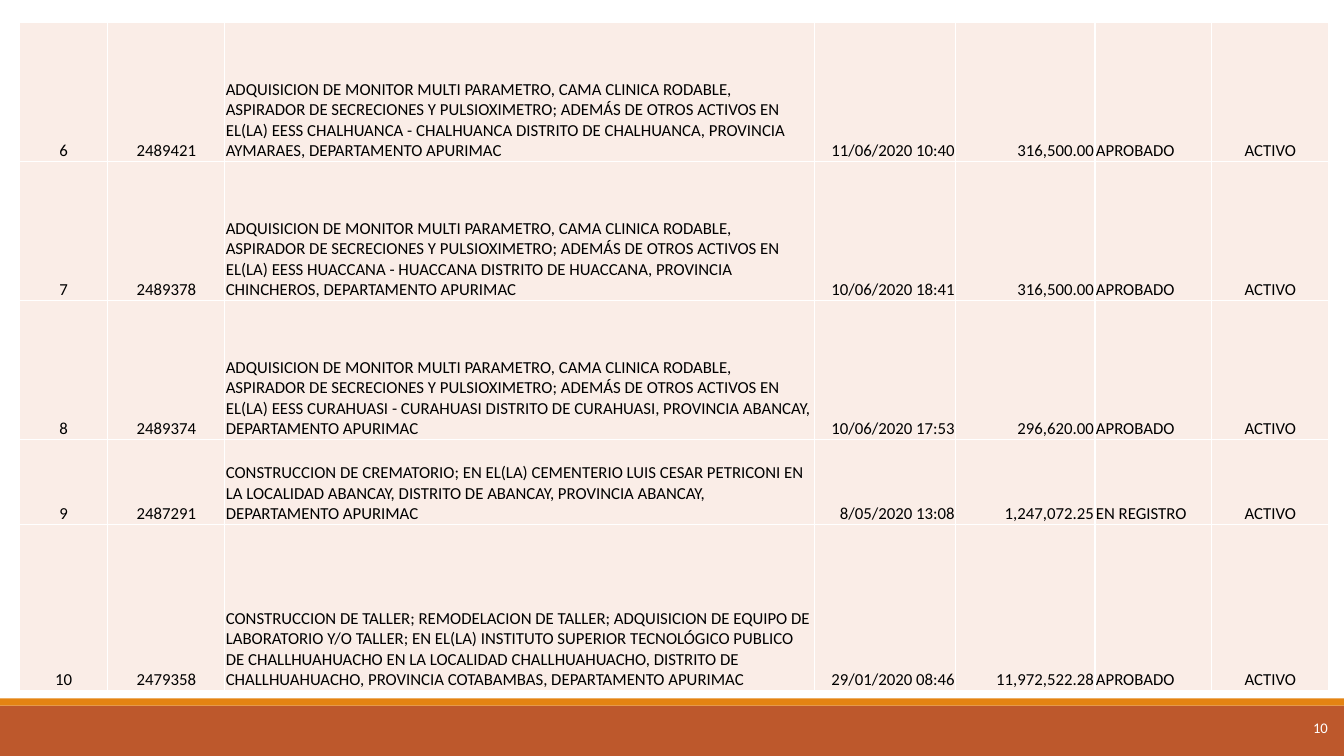
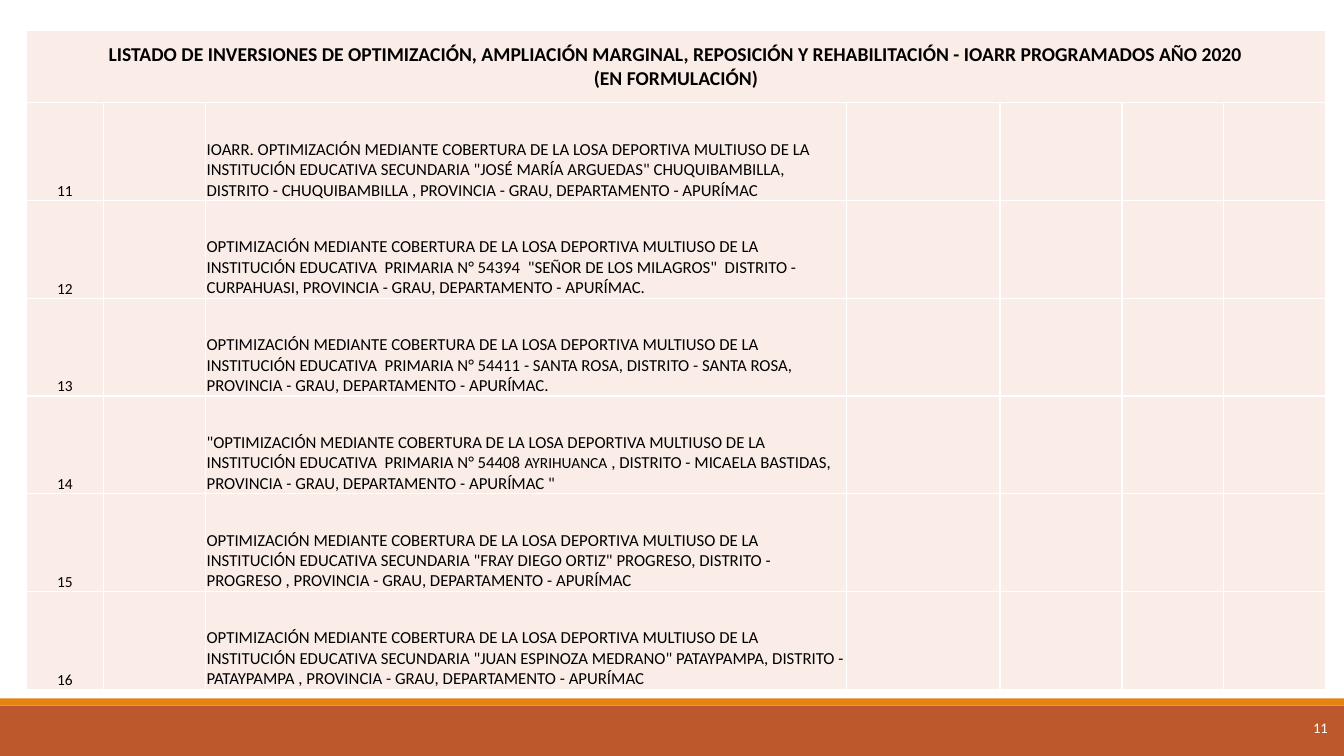
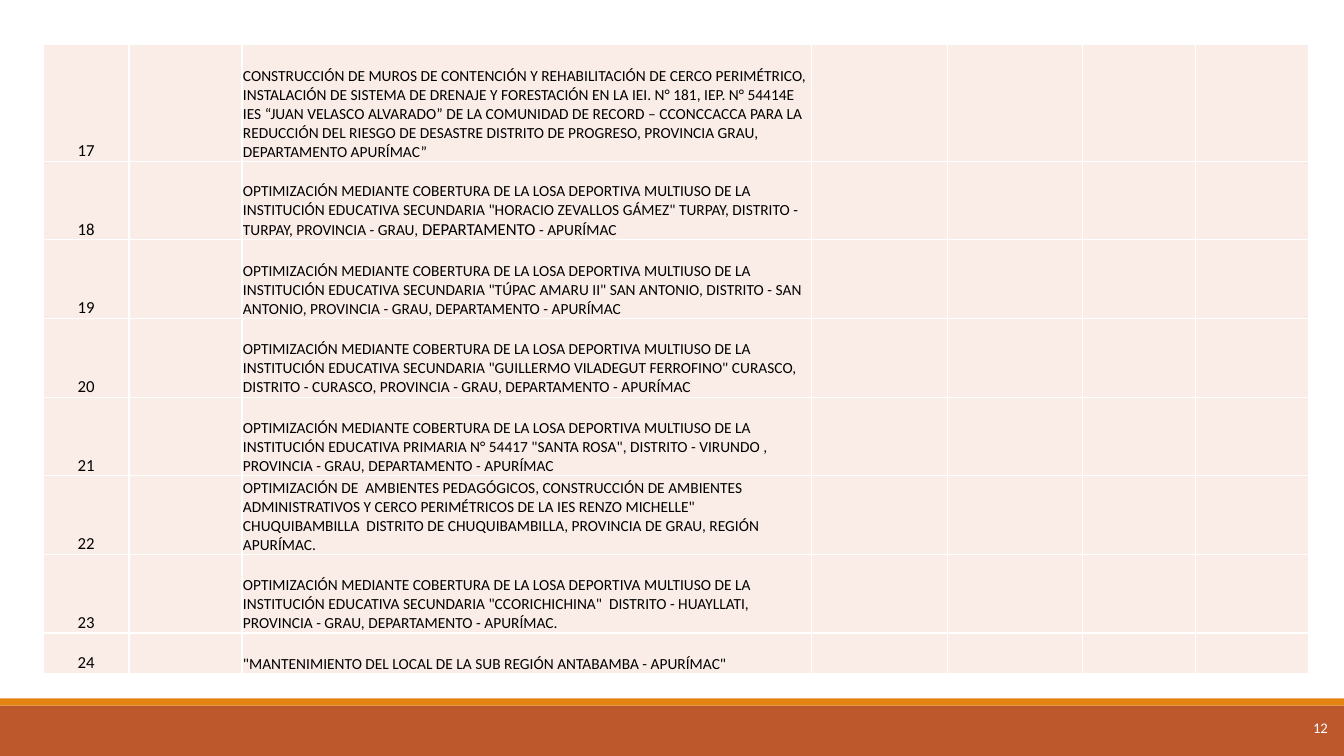
from dataclasses import dataclass
from itertools import cycle

from lxml import etree
from pptx import Presentation
from pptx.dml.color import RGBColor
from pptx.enum.shapes import MSO_SHAPE
from pptx.enum.text import MSO_ANCHOR, PP_ALIGN
from pptx.oxml.ns import qn
from pptx.slide import Slide
from pptx.table import _Cell
from pptx.text.text import _Paragraph
from pptx.util import Inches, Pt

RECTANGLE = MSO_SHAPE.RECTANGLE
MIDDLE, BOTTOM = MSO_ANCHOR.MIDDLE, MSO_ANCHOR.BOTTOM
LEFT, CENTER, RIGHT = PP_ALIGN.LEFT, PP_ALIGN.CENTER, PP_ALIGN.RIGHT


@dataclass(frozen=True)
class Theme:
    font: str = "Calibri"
    ink: str = "000000"
    white: str = "FFFFFF"
    cell: str = "FAEDE7"
    footer: str = "BD582C"
    stripe: str = "E48312"
    heading_size: float = 14
    body_size: float = 12
    small_size: float = 11
    page_size: float = 10.5
    border_width: float = 1


@dataclass(frozen=True)
class Band:
    top: float
    height: float
    color: str


@dataclass(frozen=True)
class Investment:
    number: int
    description: tuple[str, ...]
    code: str = ""
    date: str = ""
    amount: str = ""
    status: str = ""
    state: str = ""


@dataclass(frozen=True)
class Listing:
    page: int
    left: float
    top: float
    columns: tuple[float, ...]
    rows: tuple[float, ...]
    investments: tuple[Investment, ...]
    number_size: float
    description_size: float
    heading: tuple[str, ...] = ()


THEME = Theme()
SLIDE_WIDTH, SLIDE_HEIGHT = 13.33, 7.5
BANDS = (Band(7, 0.5, THEME.footer), Band(6.93, 0.07, THEME.stripe))
CELL_FORMAT = {
    "margin_left": Inches(0.01),
    "margin_right": Inches(0.01),
    "margin_top": Inches(0.01),
    "margin_bottom": 0,
}
PAGE_FORMAT = {
    "margin_left": 0,
    "margin_right": 0,
    "margin_top": 0,
    "margin_bottom": 0,
    "vertical_anchor": MIDDLE,
    "word_wrap": True,
}
PLAIN_TABLE = {"first_row": False, "horz_banding": False}
ALIGNMENTS = (CENTER, CENTER, LEFT, RIGHT, RIGHT, LEFT, CENTER)

EQUIPMENT = (
    "ADQUISICION DE MONITOR MULTI PARAMETRO, CAMA CLINICA RODABLE, ASPIRADOR DE "
    "SECRECIONES Y PULSIOXIMETRO; ADEMÁS DE OTROS ACTIVOS EN EL(LA) EESS"
)
COURT = (
    "OPTIMIZACIÓN MEDIANTE COBERTURA DE LA LOSA DEPORTIVA MULTIUSO DE LA "
    "INSTITUCIÓN EDUCATIVA"
)
GRAU = "PROVINCIA - GRAU, DEPARTAMENTO - APURÍMAC"


def health_center(town: str, province: str) -> tuple[str, ...]:
    return (f"{EQUIPMENT} {town} - {town} DISTRITO DE {town}, "
            f"PROVINCIA {province}, DEPARTAMENTO APURIMAC",)


def court(school: str, ending: str = "") -> tuple[str, ...]:
    return (f"{COURT} {school}, {GRAU}{ending}",)


LISTINGS = (
    Listing(
        page=10, left=0.19, top=0.22,
        columns=(0.88, 1.16, 5.85, 1.4, 1.38, 1.16, 1.16),
        rows=(1.38, 1.38, 1.38, 0.84, 1.65),
        number_size=THEME.body_size, description_size=THEME.body_size,
        investments=(
            Investment(6, health_center("CHALHUANCA", "AYMARAES"), "2489421",
                       "11/06/2020 10:40", "316,500.00", "APROBADO", "ACTIVO"),
            Investment(7, health_center("HUACCANA", "CHINCHEROS"), "2489378",
                       "10/06/2020 18:41", "316,500.00", "APROBADO", "ACTIVO"),
            Investment(8, health_center("CURAHUASI", "ABANCAY"), "2489374",
                       "10/06/2020 17:53", "296,620.00", "APROBADO", "ACTIVO"),
            Investment(9, (
                "CONSTRUCCION DE CREMATORIO; EN EL(LA) CEMENTERIO LUIS CESAR PETRICONI "
                "EN LA LOCALIDAD ABANCAY, DISTRITO DE ABANCAY, PROVINCIA ABANCAY, "
                "DEPARTAMENTO APURIMAC",), "2487291",
                "8/05/2020 13:08", "1,247,072.25", "EN REGISTRO", "ACTIVO"),
            Investment(10, (
                "CONSTRUCCION DE TALLER; REMODELACION DE TALLER; ADQUISICION DE EQUIPO "
                "DE LABORATORIO Y/O TALLER; EN EL(LA) INSTITUTO SUPERIOR TECNOLÓGICO "
                "PUBLICO DE CHALLHUAHUACHO EN LA LOCALIDAD CHALLHUAHUACHO, DISTRITO DE "
                "CHALLHUAHUACHO, PROVINCIA COTABAMBAS, DEPARTAMENTO APURIMAC",), "2479358",
                "29/01/2020 08:46", "11,972,522.28", "APROBADO", "ACTIVO"),
        ),
    ),
    Listing(
        page=11, left=0.26, top=0.3,
        columns=(0.77, 1.01, 6.36, 1.52, 1.21, 1.01, 1.01),
        rows=(0.72,) + (0.97,) * 6 + (),
        number_size=THEME.small_size, description_size=THEME.body_size,
        heading=(
            "LISTADO DE INVERSIONES DE OPTIMIZACIÓN, AMPLIACIÓN MARGINAL, REPOSICIÓN Y "
            "REHABILITACIÓN - IOARR PROGRAMADOS AÑO 2020",
            "(EN FORMULACIÓN)",
        ),
        investments=(
            Investment(11, (
                f'IOARR. {COURT} SECUNDARIA "JOSÉ MARÍA ARGUEDAS" CHUQUIBAMBILLA, '
                f"DISTRITO - CHUQUIBAMBILLA , {GRAU}",)),
            Investment(12, court(
                ' PRIMARIA N° 54394  "SEÑOR DE LOS MILAGROS"  DISTRITO - CURPAHUASI', ".")),
            Investment(13, court(
                " PRIMARIA N° 54411 - SANTA ROSA, DISTRITO - SANTA ROSA", ".")),
            Investment(14, (
                f'"{COURT}  PRIMARIA N° 54408 ', "AYRIHUANCA",
                f' , DISTRITO - MICAELA BASTIDAS, {GRAU} "')),
            Investment(15, court(
                'SECUNDARIA "FRAY DIEGO ORTIZ" PROGRESO, DISTRITO - PROGRESO ')),
            Investment(16, court(
                'SECUNDARIA "JUAN ESPINOZA MEDRANO" PATAYPAMPA, DISTRITO - PATAYPAMPA ')),
        ),
    ),
    Listing(
        page=12, left=0.43, top=0.44,
        columns=(0.85, 1.12, 5.65, 1.35, 1.34, 1.12, 1.12),
        rows=(1.16,) + (0.78,) * 6 + (0.4,),
        number_size=THEME.body_size, description_size=THEME.small_size,
        investments=(
            Investment(17, (
                "CONSTRUCCIÓN DE MUROS DE CONTENCIÓN Y REHABILITACIÓN DE CERCO PERIMÉTRICO, "
                "INSTALACIÓN DE SISTEMA DE DRENAJE Y FORESTACIÓN EN LA IEI. N° 181, IEP. "
                "N° 54414E IES “JUAN VELASCO ALVARADO” DE LA COMUNIDAD DE RECORD – "
                "CCONCCACCA PARA LA REDUCCIÓN DEL RIESGO DE DESASTRE DISTRITO DE PROGRESO, "
                "PROVINCIA GRAU, DEPARTAMENTO APURÍMAC”",)),
            Investment(18, (
                f'{COURT} SECUNDARIA "HORACIO ZEVALLOS GÁMEZ" TURPAY, DISTRITO - TURPAY, '
                "PROVINCIA - GRAU, ", "DEPARTAMENTO", " - APURÍMAC")),
            Investment(19, court(
                'SECUNDARIA "TÚPAC AMARU II" SAN ANTONIO, DISTRITO - SAN ANTONIO')),
            Investment(20, court(
                'SECUNDARIA "GUILLERMO VILADEGUT FERROFINO" CURASCO, DISTRITO - CURASCO')),
            Investment(21, court(
                'PRIMARIA N° 54417 "SANTA ROSA", DISTRITO - VIRUNDO ')),
            Investment(22, (
                "OPTIMIZACIÓN DE  AMBIENTES PEDAGÓGICOS, CONSTRUCCIÓN DE AMBIENTES "
                "ADMINISTRATIVOS Y CERCO PERIMÉTRICOS DE LA IES RENZO MICHELLE\" "
                "CHUQUIBAMBILLA  DISTRITO DE CHUQUIBAMBILLA, PROVINCIA DE GRAU, REGIÓN "
                "APURÍMAC.",)),
            Investment(23, court(
                'SECUNDARIA "CCORICHICHINA"  DISTRITO - HUAYLLATI', ".")),
            Investment(24, (
                '"MANTENIMIENTO DEL LOCAL DE LA SUB REGIÓN ANTABAMBA - APURÍMAC"',)),
        ),
    ),
)


def apply_format(target: object, values: dict[str, object]) -> None:
    for attribute, value in values.items():
        setattr(target, attribute, value)


def add_run(paragraph: _Paragraph, text: str, size: float,
            color: str = THEME.ink, bold: bool = False) -> None:
    run = paragraph.add_run()
    run.text = text
    apply_format(run.font, {"name": THEME.font, "size": Pt(size), "bold": bold})
    run.font.color.rgb = RGBColor.from_string(color)


def draw_footer(slide: Slide, page: int) -> None:
    for band in BANDS:
        strip = slide.shapes.add_shape(
            RECTANGLE, 0, Inches(band.top), Inches(SLIDE_WIDTH), Inches(band.height))
        strip.shadow.inherit = False
        strip.fill.solid()
        strip.fill.fore_color.rgb = RGBColor.from_string(band.color)
        strip.line.fill.background()
    page_number = slide.shapes.add_textbox(
        Inches(12.37), Inches(6.93), Inches(0.8), Inches(0.57)).text_frame
    apply_format(page_number, PAGE_FORMAT)
    paragraph = page_number.paragraphs[0]
    paragraph.alignment = RIGHT
    add_run(paragraph, str(page), THEME.page_size, THEME.white)


def style_cell(cell: _Cell) -> None:
    apply_format(cell, CELL_FORMAT)
    properties = cell._tc.get_or_add_tcPr()
    for side in ("a:lnL", "a:lnR", "a:lnT", "a:lnB"):
        border = etree.SubElement(properties, qn(side), w=str(Pt(THEME.border_width)))
        fill = etree.SubElement(border, qn("a:solidFill"))
        etree.SubElement(fill, qn("a:srgbClr"), val=THEME.white)
    cell.fill.solid()
    cell.fill.fore_color.rgb = RGBColor.from_string(THEME.cell)
    cell.vertical_anchor = BOTTOM


def write_heading(cell: _Cell, lines: tuple[str, ...]) -> None:
    cell.vertical_anchor = MIDDLE
    paragraph = cell.text_frame.paragraphs[0]
    paragraph.alignment = CENTER
    for index, line in enumerate(lines):
        if index:
            paragraph.add_line_break()
        add_run(paragraph, line, THEME.heading_size, bold=True)


def draw_listing(slide: Slide, listing: Listing) -> None:
    table = slide.shapes.add_table(
        len(listing.rows), len(listing.columns), Inches(listing.left), Inches(listing.top),
        Inches(sum(listing.columns)), Inches(sum(listing.rows))).table
    apply_format(table, PLAIN_TABLE)
    for column, width in zip(table.columns, listing.columns):
        column.width = Inches(width)
    for row, height in zip(table.rows, listing.rows):
        row.height = Inches(height)
    for cell in table.iter_cells():
        style_cell(cell)

    first_row = 0
    if listing.heading:
        first_row = 1
        table.cell(0, 0).merge(table.cell(0, len(listing.columns) - 1))
        write_heading(table.cell(0, 0), listing.heading)
    for row_index, item in enumerate(listing.investments, first_row):
        values = ((str(item.number),), (item.code,), item.description, (item.date,),
                  (item.amount,), (item.status,), (item.state,))
        for column_index, (parts, alignment) in enumerate(zip(values, ALIGNMENTS)):
            if not any(parts):
                continue
            paragraph = table.cell(row_index, column_index).text_frame.paragraphs[0]
            paragraph.alignment = alignment
            sizes = [listing.number_size]
            if parts is item.description:
                sizes = [listing.description_size, listing.number_size]
            for part, size in zip(parts, cycle(sizes)):
                add_run(paragraph, part, size)


def main() -> None:
    deck = Presentation()
    deck.slide_width, deck.slide_height = Inches(SLIDE_WIDTH), Inches(SLIDE_HEIGHT)
    blank = deck.slide_layouts[6]
    for listing in LISTINGS:
        slide = deck.slides.add_slide(blank)
        draw_footer(slide, listing.page)
        draw_listing(slide, listing)
    deck.save("out.pptx")


if __name__ == "__main__":
    main()
